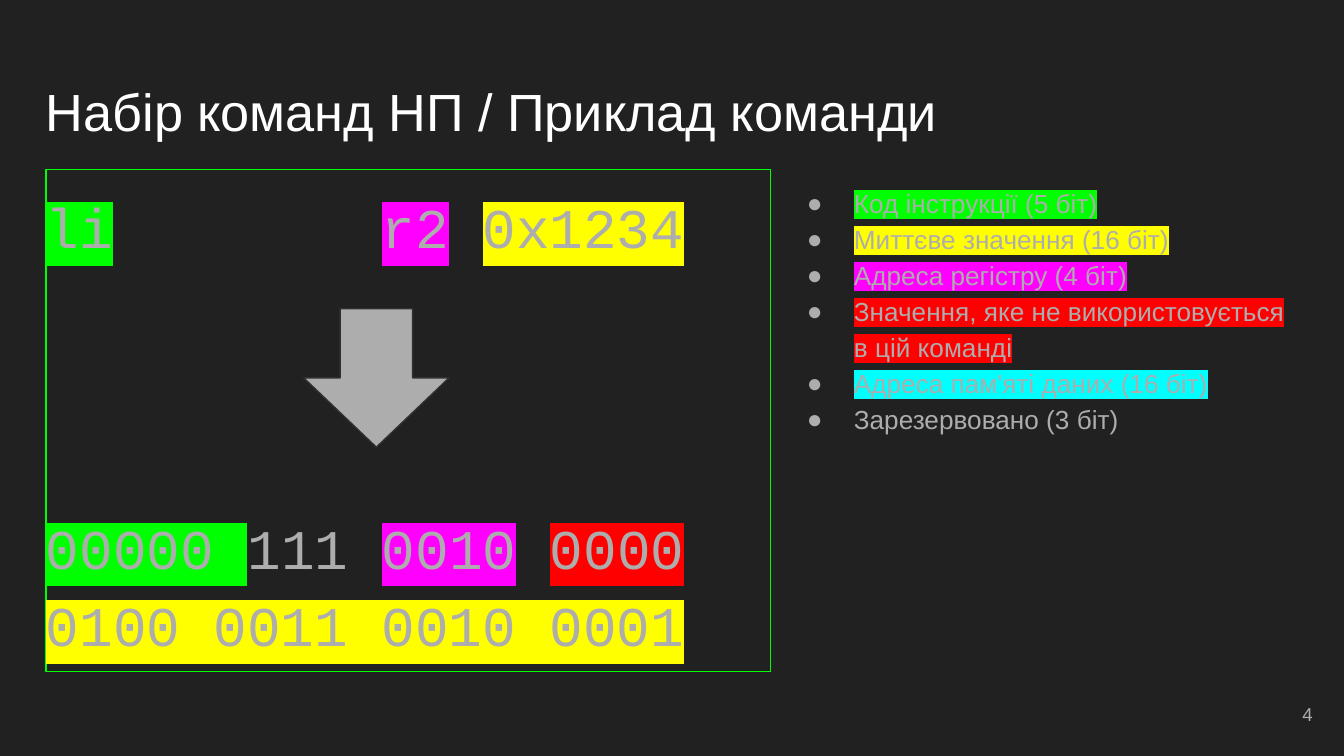
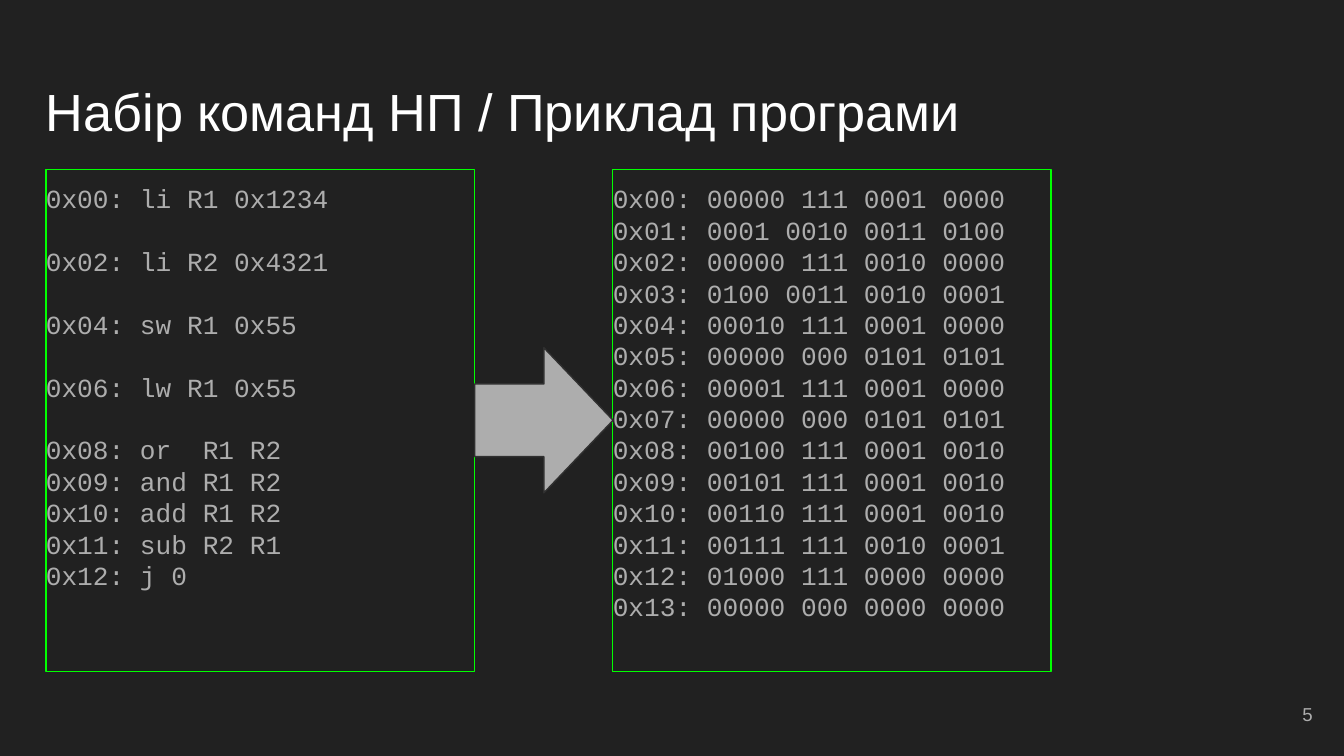
from lxml import etree
from pptx import Presentation
from pptx.dml.color import RGBColor as RGB
from pptx.enum.shapes import MSO_SHAPE as Kind
from pptx.enum.text import MSO_ANCHOR as Anchor, MSO_AUTO_SIZE as Fit, PP_ALIGN as Align
from pptx.oxml.ns import qn
from pptx.util import Inches, Pt

HUES = {
    "back": "212121", "title": "FFFFFF", "text": "ADADAD", "edge": "303030",
    "code": "00FF00", "value": "FFFF00", "reg": "FF00FF",
    "unused": "FF0000", "data": "00FFFF",
}
SANS, MONO = "Arial", "Courier New"

deck = Presentation()
deck.slide_width = Inches(10)
deck.slide_height = deck.slide_width * 9 // 16
col, row = deck.slide_width / 100, deck.slide_height / 100
LEFT, TOP, TALL = 3.41, 22.4, 66.4
ARROW_W, ARROW_H = 10.3, 19.2

back = deck.slide_master.background.fill
back.solid()
back.fore_color.rgb = RGB.from_string(HUES["back"])


def place(x, y, w, h):
    return [round(n) for n in (x * col, y * row, w * col, h * row)]


def write(shape, lines, size=14, font=SANS, hue="text", space=1.0, gaps={},
          tab=None, bullet=False, align=Align.LEFT, anchor=Anchor.TOP, side=0):
    frame = shape.text_frame
    frame.word_wrap, frame.auto_size = True, Fit.NONE
    frame.vertical_anchor = anchor
    frame.margin_left = frame.margin_right = Inches(side)
    frame.margin_top = frame.margin_bottom = Inches(0.1)
    for i, line in enumerate(lines):
        para = frame.add_paragraph() if i else frame.paragraphs[0]
        props = para._p.get_or_add_pPr()
        if bullet:
            props.set("marL", str(Inches(0.5)))
            props.set("indent", str(Inches(-0.35)))
            tint = etree.SubElement(props, qn("a:buClr"))
            etree.SubElement(tint, qn("a:srgbClr"), val=HUES[hue])
            etree.SubElement(props, qn("a:buFont"), typeface=SANS)
            etree.SubElement(props, qn("a:buChar"), char="●")
        if tab:
            tabs = etree.SubElement(props, qn("a:tabLst"))
            etree.SubElement(tabs, qn("a:tab"), pos=str(Inches(tab)), algn="l")
        para.alignment, para.line_spacing = align, space
        para.space_before = Pt(gaps.get(i, 0))
        for words, mark in [(line, None)] if isinstance(line, str) else line:
            run = para.add_run()
            run.text = words
            run.font.size, run.font.name = Pt(size), font
            run.font.color.rgb = RGB.from_string(HUES[hue])
            if mark:
                glow = etree.Element(qn("a:highlight"))
                etree.SubElement(glow, qn("a:srgbClr"), val=HUES[mark])
                run.font._element.find(qn("a:latin")).addprevious(glow)


sample = [
    [("li", "code"), ("\t", None), ("r2", "reg"), (" ", None), ("0x1234", "value")],
    [("00000 ", "code"), ("111 ", None), ("0010", "reg"), (" ", None), ("0000", "unused")],
    [("0100 0011 0010 0001", "value")],
]
legend = [
    [("Код інструкції (5 біт)", "code")],
    [("Миттєве значення (16 біт)", "value")],
    [("Адреса регістру (4 біт)", "reg")],
    [("Значення, яке не використовується в цій команді", "unused")],
    [("Адреса пам'яті даних (16 біт)", "data")],
    "Зарезервовано (3 біт)",
]
source = """0x00: li R1 0x1234
0x02: li R2 0x4321
0x04: sw R1 0x55
0x06: lw R1 0x55
0x08: or  R1 R2
0x09: and R1 R2
0x10: add R1 R2
0x11: sub R2 R1
0x12: j 0""".split("\n")
binary = """0x00: 00000 111 0001 0000
0x01: 0001 0010 0011 0100
0x02: 00000 111 0010 0000
0x03: 0100 0011 0010 0001
0x04: 00010 111 0001 0000
0x05: 00000 000 0101 0101
0x06: 00001 111 0001 0000
0x07: 00000 000 0101 0101
0x08: 00100 111 0001 0010
0x09: 00101 111 0001 0010
0x10: 00110 111 0001 0010
0x11: 00111 111 0010 0001
0x12: 01000 111 0000 0000
0x13: 00000 000 0000 0000""".split("\n")

big = dict(size=30, font=MONO, space=1.15, gaps={1: 130.5}, tab=2.5)
list_fmt = dict(space=1.15, bullet=True)
spread = dict(font=MONO, gaps=dict.fromkeys(range(1, 5), 16.8))
dense = dict(font=MONO)

pages = [
    ("Приклад команди", (22.85, 40.4, 90),
     [(LEFT, 53.9, True, sample, big), (58.53, 38.1, False, legend, list_fmt)]),
    ("Приклад програми", (35.32, 46, 0),
     [(LEFT, 31.9, True, source, spread), (45.6, 32.6, True, binary, dense)]),
]

for num, (topic, (x, y, turn), panes) in enumerate(pages, 4):
    slide = deck.slides.add_slide(deck.slide_layouts[5])
    shapes = slide.shapes
    title = shapes.title
    title.left, title.top, title.width, title.height = place(LEFT, 8.65, 93.2, 11.2)
    write(title, ["Набір команд НП / " + topic], size=28, hue="title")

    for left, wide, framed, lines, fmt in panes:
        spot = place(left, TOP, wide, TALL)
        if framed:
            pane = shapes.add_shape(Kind.RECTANGLE, *spot)
            pane.shadow.inherit = False
            pane.fill.background()
            pane.line.color.rgb = RGB.from_string(HUES["code"])
            pane.line.width = Pt(0.75)
        else:
            pane = shapes.add_textbox(*spot)
        write(pane, lines, **fmt)

    arrow = shapes.add_shape(Kind.RIGHT_ARROW, *place(x, y, ARROW_W, ARROW_H))
    arrow.rotation = turn
    arrow.shadow.inherit = False
    arrow.fill.solid()
    arrow.fill.fore_color.rgb = RGB.from_string(HUES["text"])
    arrow.line.color.rgb = RGB.from_string(HUES["edge"])
    arrow.line.width = Pt(0.75)

    foot = shapes.add_textbox(*place(92.65, 90.67, 6, 7.65))
    write(foot, [str(num)], size=10, align=Align.RIGHT, anchor=Anchor.MIDDLE, side=0.1)

deck.save("out.pptx")
